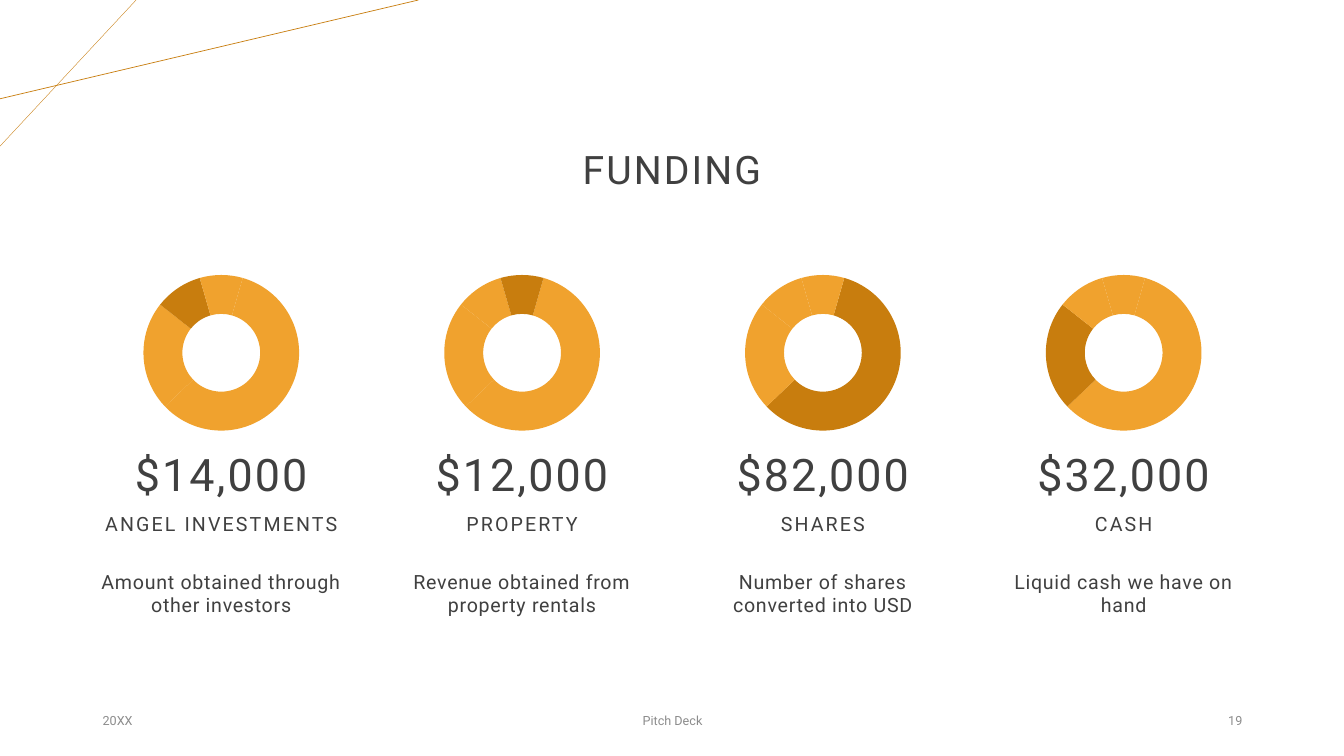
import pptx
import pptx.chart.data
import pptx.dml.color
import pptx.enum.chart
import pptx.enum.shapes
import pptx.enum.text
import pptx.oxml.ns
import pptx.util
from lxml import etree
from pptx.util import Inches

FONT = "Roboto"
DARK, GRAY = "404040", "8C8C8C"
AMBER, BRONZE = "F0A22E", "C87D0E"
ALIGN = pptx.enum.text.PP_ALIGN
ANCHOR = pptx.enum.text.MSO_ANCHOR
SHARES = (59, 23, 10, 9)
MARGIN, COLUMN_WIDTH, CONTENT_WIDTH = 0.92, 2.55, 11.5

# Amount, label, description, index of the highlighted slice
SOURCES = [
    ("$14,000", "ANGEL INVESTMENTS", "Amount obtained through other investors", 2),
    ("$12,000", "PROPERTY", "Revenue obtained from property rentals", 3),
    ("$82,000", "SHARES", "Number of shares converted into USD", 0),
    ("$32,000", "CASH", "Liquid cash we have on hand", 1),
]


def color(value):
    return pptx.dml.color.RGBColor.from_string(value)


def style_text(shape, text, size, text_color=DARK, align=ALIGN.CENTER,
               anchor=ANCHOR.MIDDLE, tracking=0, line_spacing=None, side_inset=0.1):
    frame = shape.text_frame
    frame.word_wrap = True
    frame.vertical_anchor = anchor
    frame.margin_left = frame.margin_right = Inches(side_inset)
    frame.margin_top = frame.margin_bottom = Inches(0.05)
    paragraph = frame.paragraphs[0]
    paragraph.alignment = align
    if line_spacing:
        paragraph.line_spacing = line_spacing
    run = paragraph.add_run()
    run.text = text
    if tracking:
        run._r.get_or_add_rPr().set("spc", str(int(tracking * 100)))
    paragraph.font.name = FONT
    paragraph.font.size = pptx.util.Pt(size)
    paragraph.font.color.rgb = color(text_color)


def add_text(slide, left, top, width, height, text, size, **style):
    box = slide.shapes.add_textbox(*map(Inches, (left, top, width, height)))
    style_text(box, text, size, **style)


def add_corner_lines(slide, left, top):
    for across, down, weight in ((1.35, 1.45, 0.25), (4.15, 0.98, 0.5)):
        line = slide.shapes.add_connector(
            pptx.enum.shapes.MSO_CONNECTOR.STRAIGHT,
            Inches(left + across), Inches(top), Inches(left), Inches(top + down))
        line.line.color.rgb = color(BRONZE)
        line.line.width = pptx.util.Pt(weight)
        etree.SubElement(line._element.spPr, pptx.oxml.ns.qn("a:effectLst"))


def add_title(slide, left, top, width, height):
    title = slide.shapes.title
    title.left, title.top, title.width, title.height = map(
        Inches, (left, top, width, height))
    style_text(title, "FUNDING", 28, tracking=1.5, line_spacing=0.9)


def add_doughnut(slide, left, top, width, height, highlighted):
    data = pptx.chart.data.CategoryChartData()
    data.categories = ["1", "2", "3", "4"]
    data.add_series("Series 1", SHARES)
    chart = slide.shapes.add_chart(
        pptx.enum.chart.XL_CHART_TYPE.DOUGHNUT,
        *map(Inches, (left, top, width, height)), data).chart
    chart.has_legend = False
    chart.has_title = False
    chart.font.name = FONT
    chart.font.size = pptx.util.Pt(10)
    chart.font.color.rgb = color("000000")
    plot = chart.plots[0]
    plot.vary_by_categories = False
    for index in range(len(SHARES)):
        slice_format = plot.series[0].points[index].format
        slice_format.fill.solid()
        slice_format.fill.fore_color.rgb = color(
            BRONZE if index == highlighted else AMBER)
        slice_format.line.fill.background()
    # Rotation and hole size
    for tag, value in (("c:firstSliceAng", "16"), ("c:holeSize", "80")):
        chart._chartSpace.find(".//" + pptx.oxml.ns.qn(tag)).set("val", value)


def add_funding_source(slide, left, top, width, source):
    amount, label, description, highlighted = source
    chart_width = 2.03
    add_doughnut(slide, left + (width - chart_width) / 2, top,
                 chart_width, 1.82, highlighted)
    heading = dict(anchor=ANCHOR.BOTTOM, tracking=1.5, line_spacing=0.9, side_inset=0)
    add_text(slide, left, top + 1.55, width, 0.88, amount, 32, **heading)
    add_text(slide, left, top + 2.29, width, 0.48, label, 14, **heading)
    add_text(slide, left, top + 3.01, width, 0.93, description, 14,
             anchor=ANCHOR.TOP, tracking=0.5, side_inset=0)


def add_footer(slide, left, top, width, height):
    parts = (("20XX", 0, 3, ALIGN.LEFT),
             ("Pitch Deck", (width - 4.5) / 2, 4.5, ALIGN.CENTER),
             ("19", width - 3, 3, ALIGN.RIGHT))
    for text, offset, part_width, align in parts:
        add_text(slide, left + offset, top, part_width, height, text, 9,
                 text_color=GRAY, align=align)


def main():
    presentation = pptx.Presentation()
    presentation.slide_width = Inches(13.33)
    presentation.slide_height = Inches(7.5)
    slide = presentation.slides.add_slide(presentation.slide_layouts[5])

    add_corner_lines(slide, 0, 0)
    add_title(slide, 2.06, 0.98, 9.21, 1.45)
    # Four evenly spaced funding columns
    pitch = (CONTENT_WIDTH - COLUMN_WIDTH) / (len(SOURCES) - 1)
    for index, source in enumerate(SOURCES):
        add_funding_source(slide, MARGIN + index * pitch, 2.59, COLUMN_WIDTH, source)
    add_footer(slide, MARGIN, 6.95, CONTENT_WIDTH, 0.4)
    presentation.save("out.pptx")


if __name__ == "__main__":
    main()
